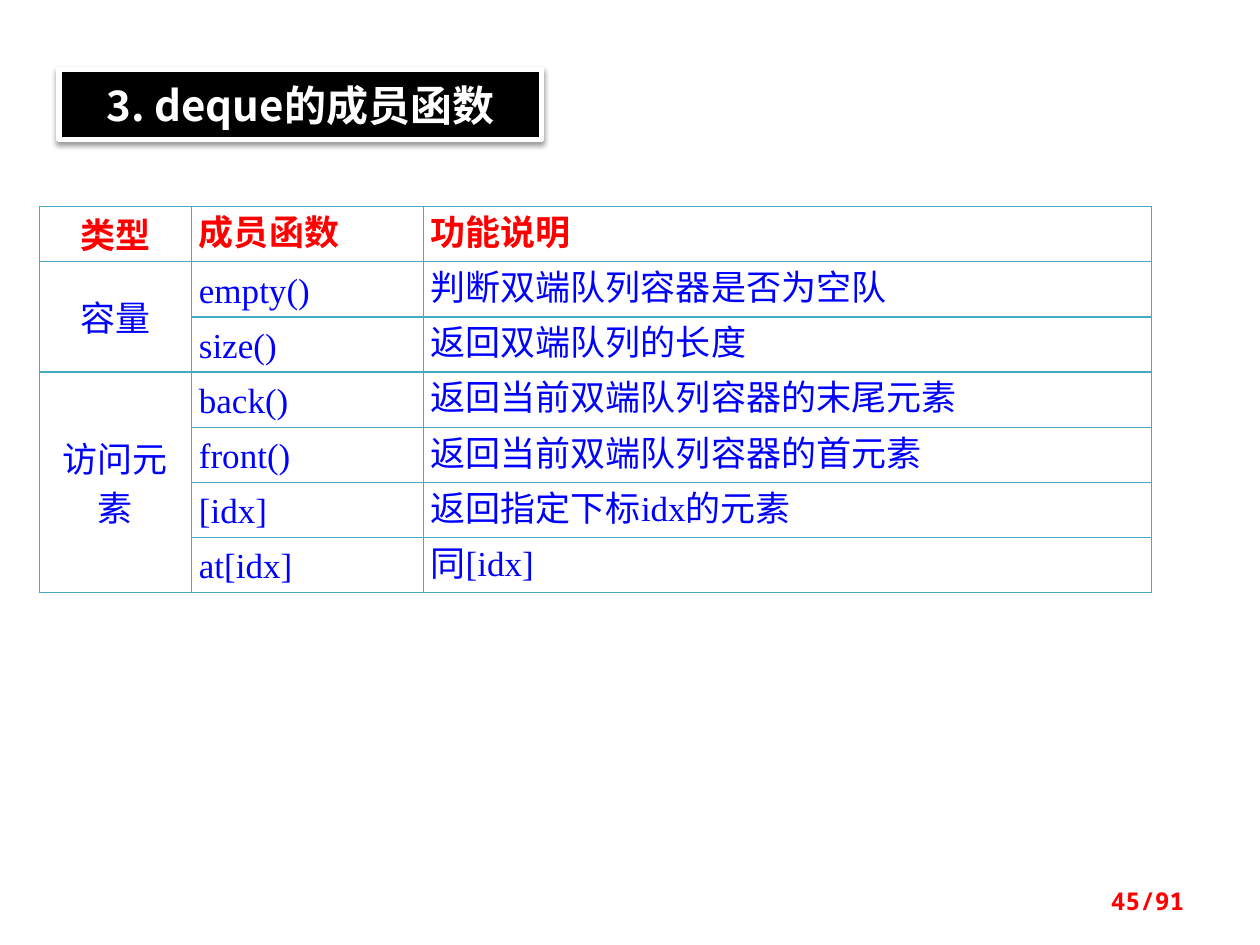
from lxml import etree
from pptx import Presentation
from pptx.dml.color import RGBColor
from pptx.enum.shapes import MSO_SHAPE
from pptx.enum.text import MSO_ANCHOR as ANCHOR, PP_ALIGN as ALIGN
from pptx.oxml import parse_xml
from pptx.oxml.ns import nsdecls, qn
from pptx.util import Cm, Pt

COLORS = {
    "white": "FFFFFF",
    "black": "000000",
    "red": "FF0000",
    "blue": "0000FF",
    "border": "46AAC5",
}
SANS, MONO, SERIF = "Noto Sans CJK SC", "Noto Sans Mono", "Times New Roman"

HEADER = ["类型", "成员函数", "功能说明"]
GROUPS = [
    ("容量", [
        ("empty()", "判断双端队列容器是否为空队"),
        ("size()", "返回双端队列的长度"),
    ]),
    ("访问元素", [
        ("back()", "返回当前双端队列容器的末尾元素"),
        ("front()", "返回当前双端队列容器的首元素"),
        ("[idx]", "返回指定下标idx的元素"),
        ("at[idx]", "同[idx]"),
    ]),
]
COL_WIDTHS = [3.07, 4.67, 14.68]
ROW_HEIGHT = 1.11


class SlideBuilder:
    def __init__(self, slide):
        self.s = slide

    def color(self, name):
        return RGBColor.from_string(COLORS[name])

    def add_run(self, p, text, size, font, color, bold=False):
        r = p.add_run()
        r.text = text
        r.font.size = Pt(size)
        r.font.name = font
        r.font.bold = bold
        r.font.color.rgb = self.color(color)
        # Chinese characters take their typeface from a:ea
        east_asian = etree.Element(qn("a:ea"), typeface=SANS)
        r.font._element.find(qn("a:latin")).addnext(east_asian)

    def title(self, text, left, top, width, height):
        sp = self.s.shapes.add_shape(
            MSO_SHAPE.RECTANGLE, Cm(left), Cm(top), Cm(width), Cm(height))
        sp.fill.solid()
        sp.fill.fore_color.rgb = self.color("black")
        sp.line.color.rgb = self.color("white")
        sp.line.width = Pt(3)
        self.drop_shadow(sp)
        tf = sp.text_frame
        tf.word_wrap = True
        tf.vertical_anchor = ANCHOR.TOP
        tf.margin_top = tf.margin_bottom = Cm(0.2)
        p = tf.paragraphs[0]
        p.alignment = ALIGN.CENTER
        self.add_run(p, text, 24, SANS, "white", bold=True)

    def drop_shadow(self, sp):
        sp.shadow.inherit = False
        effects = sp._element.spPr.find(qn("a:effectLst"))
        effects.append(parse_xml(
            f'<a:outerShdw {nsdecls("a")} blurRad="{Pt(3.1)}" dist="{Pt(1.6)}" '
            f'dir="5400000" rotWithShape="0"><a:srgbClr val="{COLORS["black"]}">'
            '<a:alpha val="38000"/></a:srgbClr></a:outerShdw>'))

    def cell(self, cell, text, color, align, anchor, bold):
        cell.fill.solid()
        cell.fill.fore_color.rgb = self.color("white")
        cell.margin_left = cell.margin_right = Cm(0.15)
        cell.margin_top = cell.margin_bottom = 0
        cell.vertical_anchor = anchor
        self.cell_borders(cell)
        p = cell.text_frame.paragraphs[0]
        p.alignment = align
        p.line_spacing = Pt(28)
        if text:
            self.add_run(p, text, 20, SERIF, color, bold)

    def cell_borders(self, cell):
        tc_pr = cell._tc.get_or_add_tcPr()
        for i, side in enumerate(("lnL", "lnR", "lnT", "lnB")):
            tc_pr.insert(i, parse_xml(
                f'<a:{side} {nsdecls("a")} w="{Pt(0.75)}"><a:solidFill>'
                f'<a:srgbClr val="{COLORS["border"]}"/></a:solidFill></a:{side}>'))

    def function_table(self, left, top):
        """Header row, then one merged type cell for each group of functions."""
        rows = [HEADER]
        spans = []
        for kind, functions in GROUPS:
            first = len(rows)
            for i, function in enumerate(functions):
                rows.append([kind if i == 0 else "", *function])
            spans.append((first, len(rows) - 1))
        table = self.s.shapes.add_table(
            len(rows), len(HEADER), Cm(left), Cm(top),
            Cm(sum(COL_WIDTHS)), Cm(ROW_HEIGHT * len(rows))).table
        table.horz_banding = False
        for col, width in zip(table.columns, COL_WIDTHS):
            col.width = Cm(width)
        for i, row in enumerate(rows):
            table.rows[i].height = Cm(ROW_HEIGHT)
            for j, text in enumerate(row):
                self.cell(table.cell(i, j), text,
                          color="blue" if i else "red",
                          align=ALIGN.JUSTIFY if j else ALIGN.CENTER,
                          anchor=ANCHOR.TOP if j else ANCHOR.MIDDLE,
                          bold=i == 0)
        for first, last in spans:
            table.cell(first, 0).merge(table.cell(last, 0))

    def page_number(self, text, left, top, width, height):
        tb = self.s.shapes.add_textbox(Cm(left), Cm(top), Cm(width), Cm(height))
        tf = tb.text_frame
        tf.word_wrap = True
        tf.vertical_anchor = ANCHOR.MIDDLE
        p = tf.paragraphs[0]
        p.alignment = ALIGN.RIGHT
        self.add_run(p, text, 14, MONO, "red", bold=True)


def main():
    prs = Presentation()
    prs.slide_width, prs.slide_height = Cm(25.4), Cm(19.05)
    builder = SlideBuilder(prs.slides.add_slide(prs.slide_layouts[6]))
    builder.title("3. deque的成员函数", 1.19, 1.4, 9.73, 1.42)
    builder.function_table(0.79, 4.17)
    builder.page_number("45/91", 18.21, 17.65, 5.92, 1.02)
    prs.save("out.pptx")


if __name__ == "__main__":
    main()
